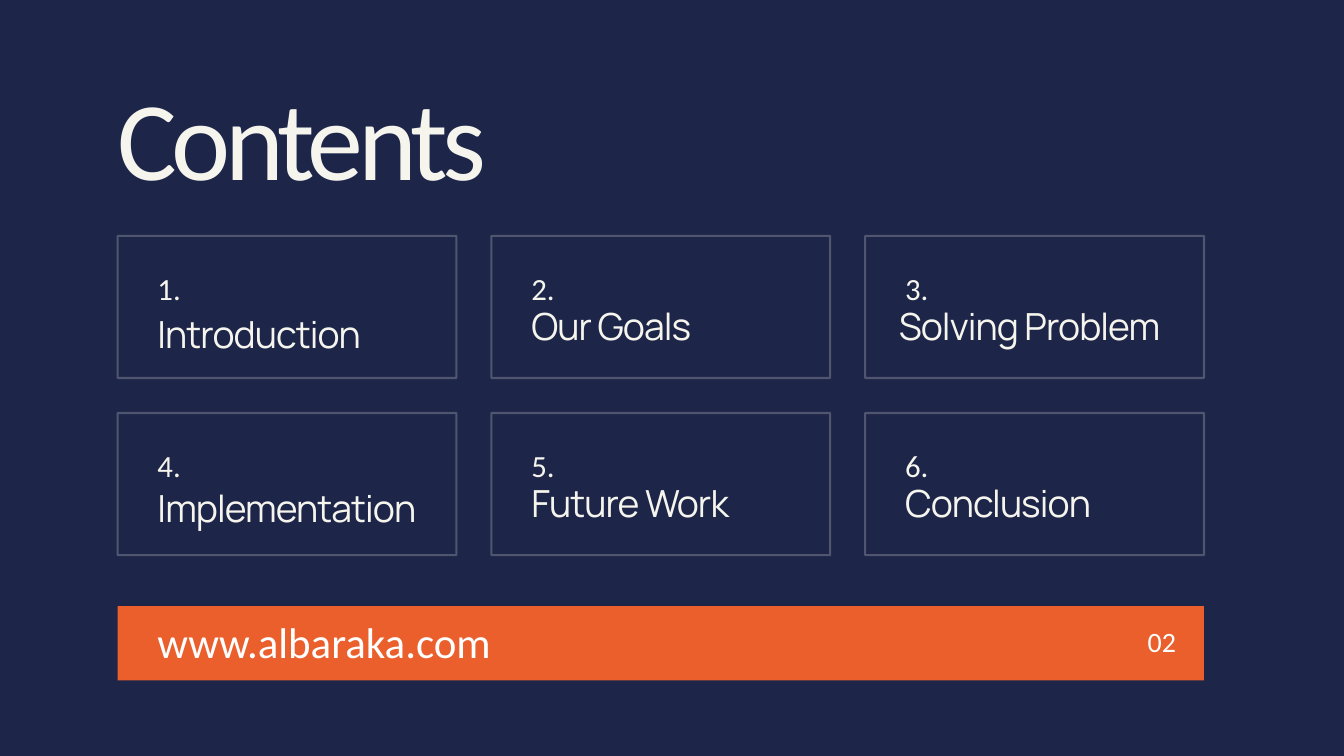
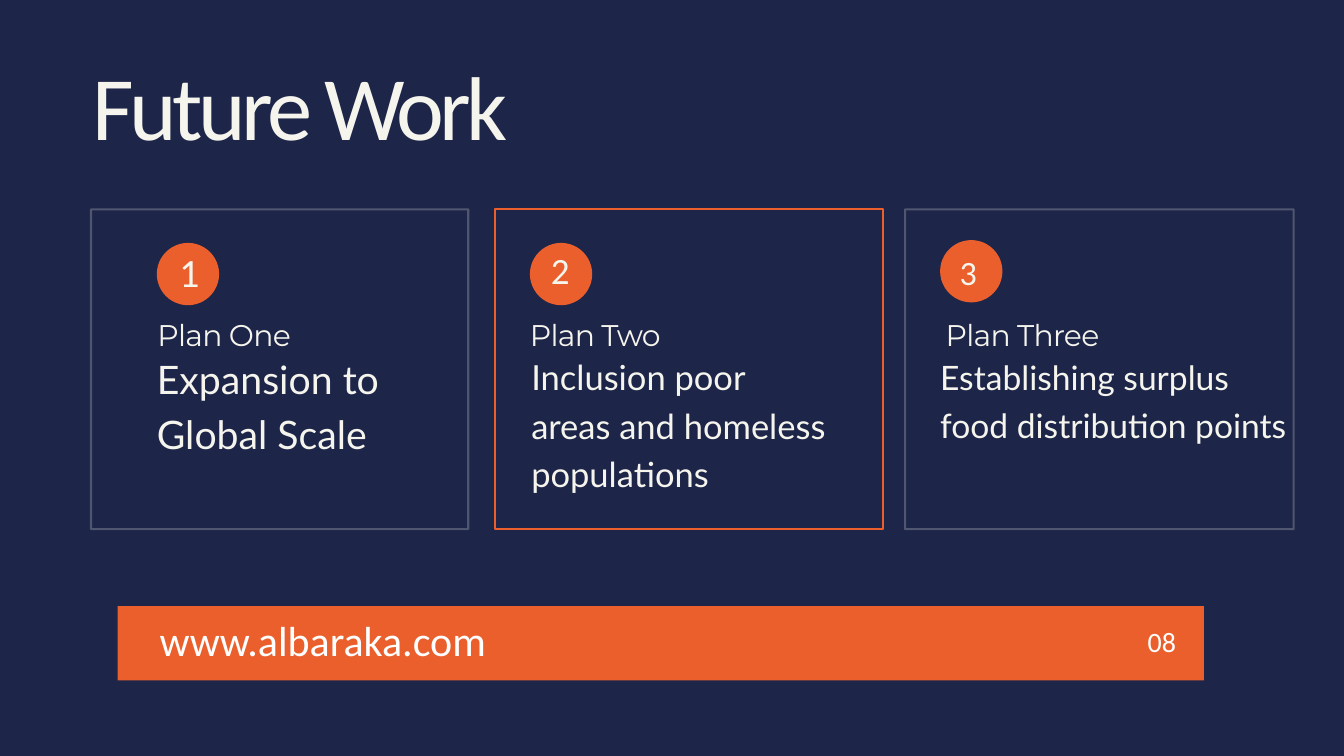
import pptx
import pptx.util
import pptx.dml.color
import pptx.enum.shapes
import pptx.enum.text
import lxml.etree
from pptx.oxml.ns import qn

PX = 9525
COLORS = {"navy": "1D2549", "cream": "F5F5ED", "orange": "EA5F2C", "white": "FFFFFF"}
RGB = {name: pptx.dml.color.RGBColor.from_string(code) for name, code in COLORS.items()}
SHAPE = pptx.enum.shapes.MSO_SHAPE
ALIGN = pptx.enum.text.PP_ALIGN


def add_shape(slide, kind, rect, fill=None, line=None, alpha=None):
    sp = slide.shapes.add_shape(kind, *[v * PX for v in rect])
    sp.shadow.inherit = False
    if fill:
        sp.fill.solid()
        sp.fill.fore_color.rgb = RGB[fill]
    else:
        sp.fill.background()
    if line:
        sp.line.color.rgb = RGB[line]
        sp.line.width = pptx.util.Pt(2.25)
    else:
        sp.line.fill.background()
    if alpha:
        color = sp._element.xpath(".//a:ln//a:srgbClr")[0]
        lxml.etree.SubElement(color, qn("a:alpha")).set("val", str(alpha * 1000))


def add_text(slide, rect, lines, size, font="Calibri", color="cream",
             leading=None, spacing=0, align=ALIGN.LEFT, sp=None):
    sp = sp or slide.shapes.add_textbox(0, 0, 0, 0)
    sp.left, sp.top, sp.width, sp.height = [v * PX for v in rect]
    tf = sp.text_frame
    tf.margin_left = tf.margin_right = tf.margin_top = tf.margin_bottom = 0
    tf.word_wrap = True
    tf.auto_size = pptx.enum.text.MSO_AUTO_SIZE.SHAPE_TO_FIT_TEXT
    tf.vertical_anchor = pptx.enum.text.MSO_ANCHOR.TOP
    for i, line in enumerate(lines):
        p = tf.add_paragraph() if i else tf.paragraphs[0]
        p.alignment = align
        p.space_before = pptx.util.Pt(0)
        p.line_spacing = pptx.util.Pt(leading or round(size * 0.96, 1))
        r = p.add_run()
        r.text = line
        r.font.size = pptx.util.Pt(size)
        r.font.name = font
        r.font.color.rgb = RGB[color]
        if spacing:
            r._r.get_or_add_rPr().set("spc", str(int(spacing * 100)))


prs = pptx.Presentation()
prs.slide_width = 1920 * PX
prs.slide_height = 1080 * PX
background = prs.slide_master.background.fill
background.solid()
background.fore_color.rgb = RGB["navy"]

pages = [
    ("Contents", (168, 136, 869, 163), 120, -6, "02", (225, 894, 573, 61), 46),
    ("Future Work", (132, 102, 922, 132), 97, -4.8, "08", (228, 893, 573, 60), 45),
]
slides = []
for title, title_rect, title_size, spacing, number, url_rect, url_size in pages:
    s = prs.slides.add_slide(prs.slide_layouts[5])
    slides.append(s)
    add_text(s, title_rect, [title], title_size, spacing=spacing, sp=s.shapes.title)
    add_shape(s, SHAPE.RECTANGLE, (168, 866, 1552, 106), fill="orange")
    add_text(s, url_rect, ["www.albaraka.com"], url_size, color="white")
    add_text(s, (1604, 902, 76, 40), [number], 30, color="white", align=ALIGN.RIGHT)

contents, future = slides

topics = [
    ("Introduction", 57, 121, 379),
    ("Our Goals", 57, 109, 392),
    ("Solving Problem", 48, 109, 427),
    ("Implementation", 57, 116, 477),
    ("Future Work", 57, 109, 427),
    ("Conclusion", 57, 109, 296),
]
for i, (topic, dx, dy, width) in enumerate(topics):
    row, col = divmod(i, 3)
    x = 168 + col * 534
    y = 337 + row * 253
    add_shape(contents, SHAPE.RECTANGLE, (x, y, 484, 203), line="cream", alpha=24)
    add_text(contents, (x + 57, y + 59, 97, 44), [f"{i + 1}."], 33)
    add_text(contents, (x + dx, y + dy, width, 59), [topic], 40, "Manrope", spacing=-1)

plans = [
    {"name": "Plan One", "name_x": 225, "card": (130, 539), "line": "cream", "alpha": 24,
     "circle": (224, 347), "digit": (256, 367, 24, 59), "digit_size": 43,
     "lines": ["Expansion to Global Scale"], "body": (224, 496, 428, 189),
     "size": 42, "leading": 58.8},
    {"name": "Plan Two", "name_x": 757, "card": (707, 554), "line": "orange", "alpha": None,
     "circle": (757, 347), "digit": (787, 366, 60, 54), "digit_size": 39.7,
     "lines": ["Inclusion poor", "areas and homeless populations"],
     "body": (759, 499, 534, 236), "size": 37, "leading": 51.8},
    {"name": "Plan Three", "name_x": 1351, "card": (1293, 555), "line": "cream", "alpha": 24,
     "circle": (1343, 343), "digit": (1371, 371, 61, 50), "digit_size": 36.5,
     "lines": ["Establishing surplus food distribution points"],
     "body": (1343, 498, 522, 235), "size": 36, "leading": 51.8},
]
for i, plan in enumerate(plans, 1):
    x, width = plan["card"]
    add_shape(future, SHAPE.RECTANGLE, (x, 299, width, 457),
              line=plan["line"], alpha=plan["alpha"])
    add_shape(future, SHAPE.OVAL, (*plan["circle"], 89, 89), fill="orange")
    add_text(future, plan["digit"], [str(i)], plan["digit_size"])
    add_text(future, (plan["name_x"], 462, 296, 43), [plan["name"]], 32,
             "Montserrat", spacing=-0.8)
    add_text(future, plan["body"], plan["lines"], plan["size"], "Lato",
             leading=plan["leading"])

prs.save("out.pptx")
